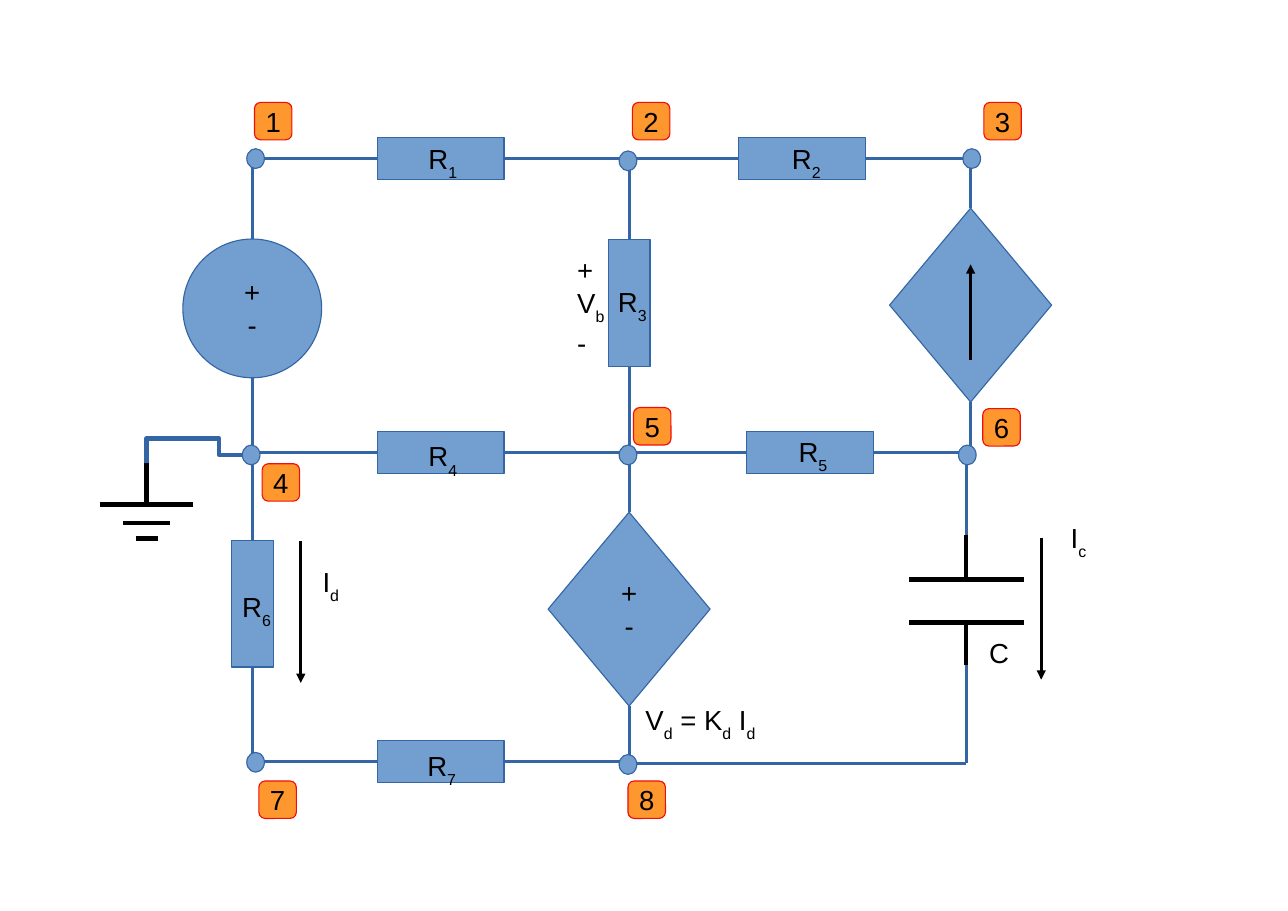
import dataclasses

import lxml.etree
import pptx
import pptx.dml.color
import pptx.enum.shapes
import pptx.enum.text
import pptx.oxml.ns
import pptx.util

Inches = pptx.util.Inches
SHAPES = pptx.enum.shapes.MSO_SHAPE
TOP, LEFT, BOTTOM, RIGHT = range(4)


@dataclasses.dataclass(frozen=True)
class Theme:
    body: str = "729FCF"
    wire: str = "3465A4"
    tag: str = "FF972F"
    tag_line: str = "F10D0C"
    ink: str = "000000"
    font: str = "Arial"
    size: float = 18
    hairline: float = 0
    heavy: float = 2.83


@dataclasses.dataclass(frozen=True)
class Box:
    left: float
    top: float
    width: float
    height: float

    def at(self, x, y):
        return self.left + x, self.top + y


@dataclasses.dataclass(frozen=True)
class Join:
    shape: object
    side: int


THEME = Theme()


def rgb(color):
    return pptx.dml.color.RGBColor.from_string(color)


def write(frame, text, centered=False, wrap=True):
    """Write lines of text; the character after an underscore is a subscript."""
    frame.word_wrap = wrap
    align = pptx.enum.text.PP_ALIGN
    for index, line in enumerate(text.split("\n")):
        para = frame.paragraphs[0] if index == 0 else frame.add_paragraph()
        para.alignment = align.CENTER if centered else align.LEFT
        first, *rest = line.split("_")
        pieces = [(first, False)]
        for piece in rest:
            pieces += [(piece[0], True), (piece[1:], False)]
        for content, lowered in pieces:
            if not content:
                continue
            span = para.add_run()
            span.text = content
            span.font.name = THEME.font
            span.font.size = pptx.util.Pt(THEME.size)
            span.font.color.rgb = rgb(THEME.ink)
            if lowered:
                span._r.get_or_add_rPr().set("baseline", "-33000")


def add_label(page, point, text, width=0.7, height=0.44):
    x, y = point
    label = page.shapes.add_textbox(Inches(x), Inches(y), Inches(width), Inches(height))
    write(label.text_frame, text)


def add_symbol(page, kind, center, width, height, text="", fill=THEME.body, line=THEME.wire):
    x, y = center
    symbol = page.shapes.add_shape(kind, Inches(x - width / 2), Inches(y - height / 2),
                                   Inches(width), Inches(height))
    symbol.shadow.inherit = False
    symbol.fill.solid()
    symbol.fill.fore_color.rgb = rgb(fill)
    symbol.line.color.rgb = rgb(line)
    symbol.line.width = pptx.util.Pt(THEME.hairline)
    if text:
        symbol.text_frame.vertical_anchor = pptx.enum.text.MSO_ANCHOR.MIDDLE
        write(symbol.text_frame, text, centered=True, wrap=False)
    return symbol


def add_line(page, start, end, color=THEME.wire, width=THEME.hairline, arrow=False):
    points = [(0, 0) if isinstance(stop, Join) else stop for stop in (start, end)]
    line = page.shapes.add_connector(pptx.enum.shapes.MSO_CONNECTOR.STRAIGHT,
                                     *(Inches(value) for point in points for value in point))
    if isinstance(start, Join):
        line.begin_connect(start.shape, start.side)
    if isinstance(end, Join):
        line.end_connect(end.shape, end.side)
    line.line.color.rgb = rgb(color)
    line.line.width = pptx.util.Pt(width)
    properties = line.element.spPr
    if arrow:
        outline = properties.find(pptx.oxml.ns.qn("a:ln"))
        tail = lxml.etree.SubElement(outline, pptx.oxml.ns.qn("a:tailEnd"))
        tail.set("type", "triangle")
    lxml.etree.SubElement(properties, pptx.oxml.ns.qn("a:effectLst"))


def add_chain(page, stops, leave, enter):
    """Wire neighbouring stops; a stop is a point or a symbol."""
    for start, end in zip(stops, stops[1:]):
        add_line(page,
                 start if isinstance(start, tuple) else Join(start, leave),
                 end if isinstance(end, tuple) else Join(end, enter))


def draw_network(page, box):
    # Resistors: centre, upright or not, label corner
    resistors = {}
    for number, center, upright, corner in (
            (1, (1.71, 0), False, (1.5, -0.2)), (2, (4.99, 0), False, (4.8, -0.2)),
            (3, (3.42, 1.31), True, (3.22, 1.1)), (4, (1.71, 2.67), False, (1.5, 2.5)),
            (5, (5.06, 2.67), False, (4.86, 2.46)), (6, (0, 4.04), True, (-0.19, 3.87)),
            (7, (1.71, 5.47), False, (1.49, 5.31))):
        size = (0.38, 1.15) if upright else (1.15, 0.38)
        resistors[number] = add_symbol(page, SHAPES.RECTANGLE, box.at(*center), *size)
        add_label(page, box.at(*corner), f"R_{number}")

    # Sources
    add_symbol(page, SHAPES.OVAL, box.at(0, 1.36), 1.26, 1.26, "+\n-")
    voltage = add_symbol(page, SHAPES.DIAMOND, box.at(3.42, 4.09), 1.47, 1.76, "+\n-")
    current = add_symbol(page, SHAPES.DIAMOND, box.at(6.52, 1.33), 1.47, 1.76)
    add_line(page, box.at(6.52, 1.83), box.at(6.52, 0.96), THEME.ink, arrow=True)

    # Wires along rows and columns
    for stops in ((box.at(0, 0), resistors[1], resistors[2], box.at(6.52, 0)),
                  (box.at(0, 2.67), resistors[4], resistors[5], box.at(6.48, 2.67)),
                  (box.at(0, 5.47), resistors[7], box.at(3.42, 5.47)),
                  (box.at(3.42, 5.49), box.at(6.48, 5.49))):
        add_chain(page, stops, RIGHT, LEFT)
    for stops in ((box.at(0, 0), box.at(0, 0.73)),
                  (box.at(0, 1.99), resistors[6], box.at(0, 5.47)),
                  (box.at(3.42, 0), resistors[3], voltage, box.at(3.42, 5.49)),
                  (box.at(6.52, 0), current, box.at(6.52, 2.68)),
                  (box.at(6.48, 2.68), box.at(6.48, 3.42)),
                  (box.at(6.48, 4.6), box.at(6.48, 5.49))):
        add_chain(page, stops, BOTTOM, TOP)

    # Voltages and the current through R6
    add_label(page, box.at(2.85, 0.81), "+\nV_b\n-", height=1)
    add_label(page, box.at(3.47, 4.89), "V_d = K_d I_d", width=2.2)
    add_label(page, box.at(0.54, 3.64), "I_d")
    add_line(page, box.at(0.44, 3.47), box.at(0.44, 4.76), THEME.ink, arrow=True)


def draw_capacitor(page, box):
    middle = box.width / 2
    for near, far in ((0, 0.4), (box.height, 0.79)):
        add_line(page, box.at(middle, near), box.at(middle, far), THEME.ink, THEME.heavy)
        add_line(page, box.at(0, far), box.at(box.width, far), THEME.ink, THEME.heavy)
    add_label(page, box.at(0.63, 0.86), "C")
    add_label(page, box.at(1.37, -0.18), "I_c")
    add_line(page, box.at(1.2, 0.02), box.at(1.2, 1.31), THEME.ink, arrow=True)


def draw_ground(page, box):
    middle = box.width / 2
    # Lead from node 4
    lead = [tuple(Inches(value) for value in box.at(x, y)) for x, y in
            ((1.29, 0.15), (1.08, 0.15), (1.08, 0), (middle, 0), (middle, 0.22))]
    builder = page.shapes.build_freeform(*lead[0])
    builder.add_line_segments(lead[1:], close=False)
    bend = builder.convert_to_shape()
    bend.shadow.inherit = False
    bend.fill.background()
    bend.line.color.rgb = rgb(THEME.wire)
    bend.line.width = pptx.util.Pt(THEME.heavy)
    # Stem and bars
    add_line(page, box.at(middle, 0.22), box.at(middle, 0.6), THEME.ink, THEME.heavy)
    for y, width in ((0.6, box.width), (0.77, 0.42), (box.height, 0.2)):
        add_line(page, box.at(middle - width / 2, y), box.at(middle + width / 2, y),
                 THEME.ink, THEME.heavy)


def draw_nodes(page, box):
    # Dot centre and tag centre of each node
    nodes = (((0.03, 0), (0.19, -0.34)), ((3.41, 0.02), (3.62, -0.34)),
             ((6.53, 0), (6.81, -0.34)), ((-0.01, 2.69), (0.26, 2.94)),
             ((3.41, 2.69), (3.63, 2.43)), ((6.49, 2.69), (6.8, 2.44)),
             ((0.03, 5.48), (0.23, 5.82)), ((3.41, 5.5), (3.58, 5.82)))
    for number, (dot, tag) in enumerate(nodes, start=1):
        add_symbol(page, SHAPES.OVAL, box.at(*dot), 0.16, 0.18)
        add_symbol(page, SHAPES.ROUNDED_RECTANGLE, box.at(*tag), 0.34, 0.34,
                   str(number), THEME.tag, THEME.tag_line)


def main():
    deck = pptx.Presentation()
    deck.slide_width, deck.slide_height = Inches(11.69), Inches(8.27)
    page = deck.slides.add_slide(deck.slide_layouts[6])
    circuit = Box(2.29, 1.44, 6.52, 5.49)
    draw_network(page, circuit)
    draw_capacitor(page, Box(8.25, 4.86, 1.04, 1.18))
    draw_ground(page, Box(0.91, 3.98, 0.84, 0.91))
    draw_nodes(page, circuit)
    deck.save("out.pptx")


if __name__ == "__main__":
    main()
